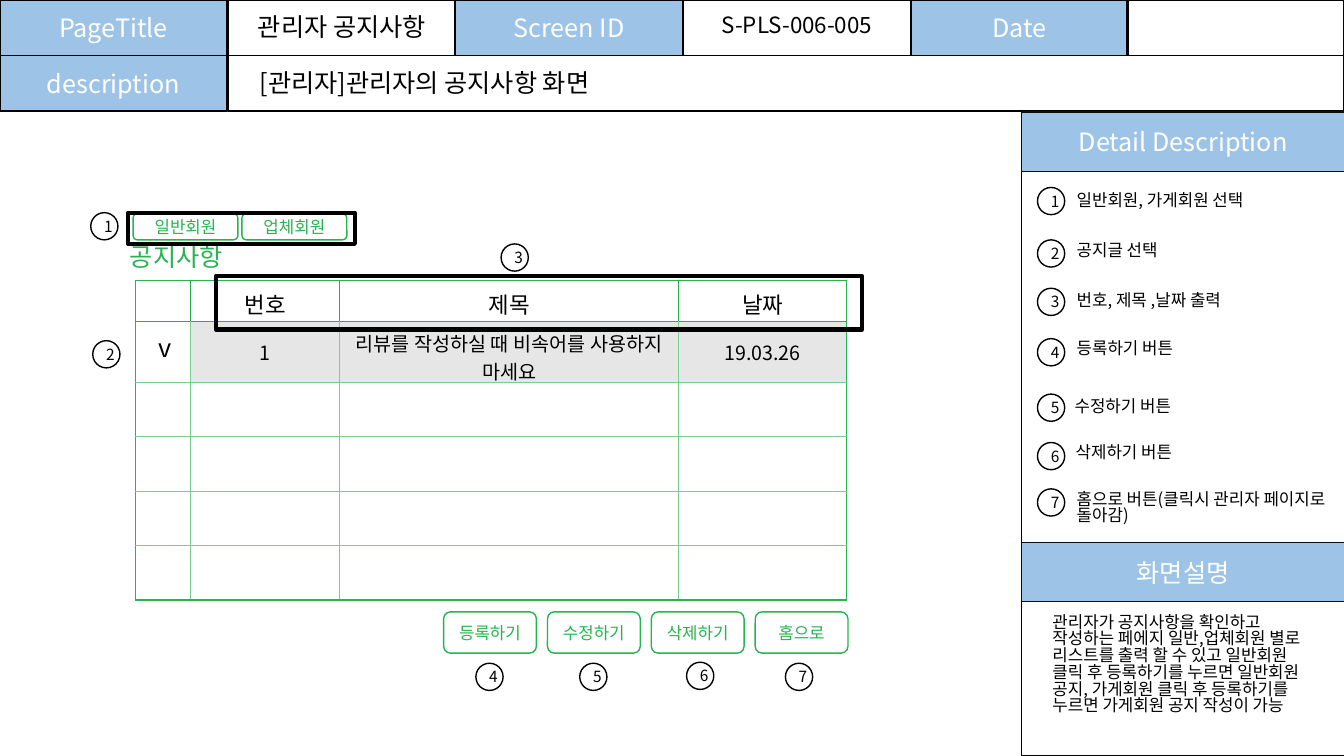
import pptx
import pptx.dml.color
import pptx.enum.shapes
import pptx.enum.text
import pptx.oxml
import pptx.oxml.ns
import pptx.util

Inches = pptx.util.Inches
Pt = pptx.util.Pt
SHAPE = pptx.enum.shapes.MSO_SHAPE
ALIGN = pptx.enum.text.PP_ALIGN
ANCHOR = pptx.enum.text.MSO_ANCHOR
AUTO_SIZE = pptx.enum.text.MSO_AUTO_SIZE

FONT = "Noto Sans CJK KR"
COLORS = {
    "white": "FFFFFF", "black": "000000", "ink": "0D0D0D", "blue": "9DC3E6",
    "green": "26B44E", "header_green": "25B04C", "pale_green": "77CE8F", "gray": "E7E6E6",
}
NOTICE_ROWS = [
    ["", "번호", "제목", "날짜"],
    ["", "1", "리뷰를 작성하실 때 비속어를 사용하지 마세요", "19.03.26"],
    *[[""] * 4 for _ in range(4)],
]
MARKERS = [(0.9, 2.11), (0.92, 3.38), (4.97, 2.42), (4.72, 6.58), (5.75, 6.58), (6.81, 6.57), (7.79, 6.58)]
# (circle top, text left, text top, text height, text)
DETAILS = [
    (1.86, 10.58, 1.87, 0.3, "일반회원, 가게회원 선택"),
    (2.38, 10.58, 2.36, 0.3, "공지글 선택"),
    (2.86, 10.58, 2.86, 0.3, "번호, 제목 ,날짜 출력"),
    (3.36, 10.58, 3.34, 0.3, "등록하기 버튼"),
    (3.91, 10.56, 3.91, 0.3, "수정하기 버튼"),
    (4.39, 10.57, 4.37, 0.3, "삭제하기 버튼"),
    (4.85, 10.58, 4.83, 0.5, "홈으로 버튼(클릭시 관리자 페이지로 돌아감)"),
]
SUMMARY = (
    "관리자가 공지사항을 확인하고 작성하는 페에지 일반,업체회원 별로 리스트를 출력 할 수 있고 "
    "일반회원 클릭 후 등록하기를 누르면 일반회원 공지, 가게회원 클릭 후 등록하기를 누르면 "
    "가게회원 공지 작성이 가능"
)


def rgb(color):
    return pptx.dml.color.RGBColor.from_string(COLORS[color])


def write_text(frame, text, size, color, align, line_spacing=None):
    paragraph = frame.paragraphs[0]
    for name, value in {"alignment": align, "line_spacing": line_spacing}.items():
        setattr(paragraph, name, value)
    run = paragraph.add_run()
    run.text = text
    for name, value in {"size": Pt(size), "name": FONT}.items():
        setattr(run.font, name, value)
    run.font.color.rgb = rgb(color)
    east_asian = pptx.oxml.parse_xml(f'<a:ea {pptx.oxml.ns.nsdecls("a")} typeface="{FONT}"/>')
    run.font._element.append(east_asian)


def add_box(slide, box, text="", fill="white", line="black", width=1, size=18,
            color="white", kind=SHAPE.RECTANGLE):
    shape = slide.shapes.add_shape(kind, *map(Inches, box))
    shape.shadow.inherit = False
    if fill:
        shape.fill.solid()
        shape.fill.fore_color.rgb = rgb(fill)
    else:
        shape.fill.background()
    shape.line.color.rgb = rgb(line)
    shape.line.width = Pt(width)
    if text:
        shape.text_frame.vertical_anchor = ANCHOR.MIDDLE
        write_text(shape.text_frame, text, size, color, ALIGN.CENTER)
    return shape


def add_button(slide, box, text):
    button = add_box(slide, box, text, line="green", size=12, color="green", kind=SHAPE.ROUNDED_RECTANGLE)
    fill_color = button.fill._xPr.find(".//" + pptx.oxml.ns.qn("a:srgbClr"))
    fill_color.append(pptx.oxml.parse_xml(f'<a:alpha {pptx.oxml.ns.nsdecls("a")} val="66000"/>'))


def add_marker(slide, left, top, number):
    add_box(slide, (left, top, 0.27, 0.27), str(number), size=11, color="black", kind=SHAPE.OVAL)


def add_label(slide, box, text, size=18, color="black", align=ALIGN.LEFT, wrap=True,
              anchor=ANCHOR.TOP, line_spacing=None):
    frame = slide.shapes.add_textbox(*map(Inches, box)).text_frame
    settings = {"word_wrap": wrap, "auto_size": AUTO_SIZE.SHAPE_TO_FIT_TEXT, "vertical_anchor": anchor}
    for name, value in settings.items():
        setattr(frame, name, value)
    write_text(frame, text, size, color, align, line_spacing)


def set_borders(cell, colors):
    for side, color in colors.items():
        cell._tc.get_or_add_tcPr().append(pptx.oxml.parse_xml(
            f'<a:ln{side} {pptx.oxml.ns.nsdecls("a")} w="12700"><a:solidFill>'
            f'<a:srgbClr val="{COLORS[color]}"/></a:solidFill></a:ln{side}>'))


def add_notice_table(slide):
    row_count, column_count = len(NOTICE_ROWS), len(NOTICE_ROWS[0])
    table = slide.shapes.add_table(
        row_count, column_count, *map(Inches, (1.34, 2.78, 7.06, 3.1))).table
    table.first_row = table.horz_banding = False
    for column, width in zip(table.columns, (0.55, 1.48, 3.36, 1.67)):
        column.width = Inches(width)
    for row, height in zip(table.rows, [0.4] + [0.54] * 5):
        row.height = Inches(height)
    margins = {"margin_left": 0.13, "margin_right": 0.13, "margin_top": 0.07, "margin_bottom": 0.07}
    for r, texts in enumerate(NOTICE_ROWS):
        inner = "header_green" if r == 0 else "pale_green"
        for c, text in enumerate(texts):
            cell = table.cell(r, c)
            set_borders(cell, {
                "L": "green" if c == 0 else inner,
                "R": "green" if c == column_count - 1 else inner,
                "T": "green" if r == 0 else "header_green" if r == 1 else inner,
                "B": "green" if r == row_count - 1 else inner,
            })
            cell.fill.background()
            if not text:
                continue
            for name, value in margins.items():
                setattr(cell, name, Inches(value))
            write_text(cell.text_frame, text, 14 if r else 16, "black", ALIGN.CENTER)
            if r:
                cell.vertical_anchor = ANCHOR.MIDDLE
                cell.fill.solid()
                cell.fill.fore_color.rgb = rgb("gray")


def add_page_header(slide):
    for left, width, text in [(0, 2.25, "PageTitle"), (4.52, 2.25, "Screen ID"), (9.04, 2.14, "Date")]:
        add_box(slide, (left, 0, width, 0.55), text, fill="blue")
        add_box(slide, (left + width + 0.01, 0, width, 0.55))
    add_box(slide, (0, 0.55, 2.25, 0.55), "description", fill="blue")
    add_box(slide, (2.26, 0.55, 11.07, 0.55))
    for box, text, size in [
        ((2.36, 0.65, 3.7, 0.4), "[관리자]관리자의 공지사항 화면", 18),
        ((2.4, 0.1, 1.98, 0.4), "관리자 공지사항", 18),
        ((6.83, 0.09, 2.15, 0.37), "S-PLS-006-005", 16),
    ]:
        add_label(slide, box, text, size, align=ALIGN.CENTER, wrap=False, line_spacing=0.9)


def add_detail_panel(slide):
    add_box(slide, (10.13, 1.11, 3.21, 6.39))
    for top, text in [(1.11, "Detail Description"), (5.38, "화면설명")]:
        add_box(slide, (10.13, top, 3.21, 0.59), text, fill="blue", line="ink")
    for number, (circle_top, left, top, height, text) in enumerate(DETAILS, 1):
        add_marker(slide, 10.29, circle_top, number)
        add_label(slide, (left, top, 2.71, height), text, 12, line_spacing=0.83)
    add_label(slide, (10.34, 6.05, 2.79, 1.31), SUMMARY, 12, line_spacing=0.83)


def add_notice_screen(slide):
    for i, text in enumerate(["일반회원", "업체회원"]):
        add_button(slide, (1.32 + 1.08 * i, 2.12, 1.04, 0.26), text)
    add_notice_table(slide)
    add_label(slide, (1.19, 2.38, 3.41, 0.4), "공지사항", color="green", line_spacing=0.9)
    for i, text in enumerate(["등록하기", "수정하기", "삭제하기", "홈으로"]):
        add_button(slide, (4.4 + 1.03 * i, 6.07, 0.92, 0.41), text)
    add_label(slide, (1.47, 3.27, 0.29, 0.4), "v", anchor=ANCHOR.MIDDLE, line_spacing=0.9)
    for number, (left, top) in enumerate(MARKERS, 1):
        add_marker(slide, left, top, number)
    for frame in [(2.14, 2.74, 6.41, 0.53), (1.27, 2.11, 2.25, 0.31)]:
        add_box(slide, frame, fill=None, width=3)


def main():
    presentation = pptx.Presentation()
    presentation.slide_width = Inches(13.33)
    presentation.slide_height = Inches(7.5)
    slide = presentation.slides.add_slide(presentation.slide_layouts[6])
    add_page_header(slide)
    add_detail_panel(slide)
    add_notice_screen(slide)
    presentation.save("out.pptx")


if __name__ == "__main__":
    main()
